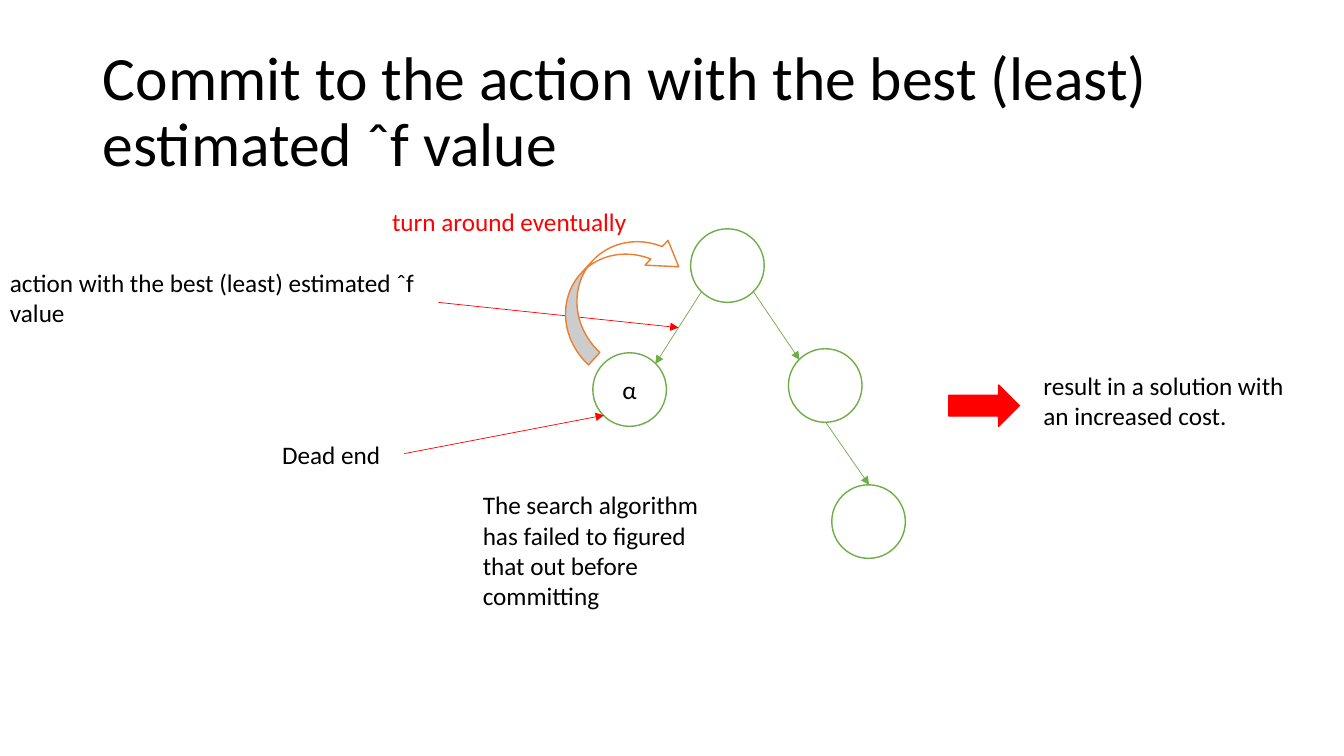
from typing import NamedTuple

from lxml import etree
from pptx import Presentation
from pptx import util as u
from pptx.dml.color import RGBColor
from pptx.enum import shapes, text
from pptx.oxml.ns import qn

COLORS = {"black": "000000", "white": "FFFFFF", "green": "70AD47",
          "red": "FF0000", "orange": "ED7D31"}
FONT = "Calibri"
NODE_SIZE = 0.73


class Node(NamedTuple):
    left: float
    top: float
    label: str = ""


class Arrow(NamedTuple):
    x1: float
    y1: float
    x2: float
    y2: float
    color: str


class Label(NamedTuple):
    left: float
    top: float
    width: float
    height: float
    words: str
    color: str = "black"


NODES = [Node(6.85, 2.27), Node(8.25, 4.81), Node(7.82, 3.46), Node(5.88, 3.5, "α")]
TREE_EDGES = [
    Arrow(6.96, 2.89, 6.5, 3.61, "green"),
    Arrow(7.47, 2.89, 7.93, 3.57, "green"),
    Arrow(8.19, 4.19, 8.62, 4.81, "green"),
]
POINTERS = [
    Arrow(4.01, 4.5, 5.99, 4.12, "red"),
    Arrow(4.35, 3, 6.73, 3.25, "red"),
]
LABELS = [
    Label(2.7, 4.31, 1.85, 0.6, "Dead end"),
    Label(0, 2.6, 4.35, 1.05, "action with the best (least) estimated ˆf value"),
    Label(4.69, 4.81, 2.64, 1.31,
          "The search algorithm has failed to figured that out before committing"),
    Label(3.79, 2, 2.64, 0.4, "turn around eventually", "red"),
    Label(10.25, 3.62, 2.64, 0.71, "result in a solution with an increased cost."),
]


def rgb(name: str) -> RGBColor:
    return RGBColor.from_string(COLORS[name])


def box(left: float, top: float, width: float, height: float) -> list[u.Length]:
    return [u.Inches(v) for v in (left, top, width, height)]


def write(tf, words: str, size: int, color: str, align=text.PP_ALIGN.LEFT):
    tf.text = words
    tf.word_wrap = True
    p = tf.paragraphs[0]
    p.alignment = align
    p.font.name = FONT
    p.font.size = u.Pt(size)
    p.font.color.rgb = rgb(color)
    return p


def add_shape(parent, kind, place: list[u.Length], fill: str, line: str):
    sp = parent.add_shape(kind, *place)
    sp.shadow.inherit = False
    sp.fill.solid()
    sp.fill.fore_color.rgb = rgb(fill)
    sp.line.color.rgb = rgb(line)
    sp.line.width = u.Pt(1)
    return sp


def add_node(parent, node: Node) -> None:
    sp = add_shape(parent, shapes.MSO_SHAPE.OVAL,
                   box(node.left, node.top, NODE_SIZE, NODE_SIZE), "white", "green")
    if node.label:
        write(sp.text_frame, node.label, 18, "black", text.PP_ALIGN.CENTER)


def add_arrow(parent, arrow: Arrow) -> None:
    ends = box(arrow.x1, arrow.y1, arrow.x2, arrow.y2)
    line = parent.add_connector(shapes.MSO_CONNECTOR.STRAIGHT, *ends)
    line.line.color.rgb = rgb(arrow.color)
    line.line.width = u.Pt(0.5)
    etree.SubElement(line.line._get_or_add_ln(), qn("a:tailEnd"), type="triangle")
    etree.SubElement(line._element.spPr, qn("a:effectLst"))


def add_label(parent, label: Label) -> None:
    place = box(label.left, label.top, label.width, label.height)
    tf = parent.add_textbox(*place).text_frame
    write(tf, label.words, 18, label.color)


prs = Presentation()
prs.slide_width, prs.slide_height = u.Inches(13.33), u.Inches(7.5)
s = prs.slides.add_slide(prs.slide_layouts.get_by_name("Title Only"))

# Title
title = s.shapes.title
title.left, title.top, title.width, title.height = box(0.92, 0.4, 11.5, 1.45)
p = write(title.text_frame, "Commit to the action with the best (least) estimated ˆf value",
          44, "black")
p.line_spacing = 0.9
title.text_frame.auto_size = text.MSO_AUTO_SIZE.NONE
title.text_frame.vertical_anchor = text.MSO_ANCHOR.MIDDLE

# Search tree
tree = s.shapes.add_group_shape().shapes
for node in NODES:
    add_node(tree, node)
for edge in TREE_EDGES:
    add_arrow(tree, edge)

# Pointers and explanations
for pointer in POINTERS:
    add_arrow(s.shapes, pointer)
for label in LABELS:
    add_label(s.shapes, label)

# Turn back to the root
turn = add_shape(s.shapes, shapes.MSO_SHAPE.CURVED_DOWN_ARROW,
                 box(5.35, 2.51, 1.49, 0.67), "white", "orange")
turn.rotation = 312.6
for i, value in enumerate((0.25, 0.5, 0.383)):
    turn.adjustments[i] = value

# Outcome
add_shape(s.shapes, shapes.MSO_SHAPE.RIGHT_ARROW, box(9.41, 3.82, 0.7, 0.41), "red", "red")

prs.save("out.pptx")
